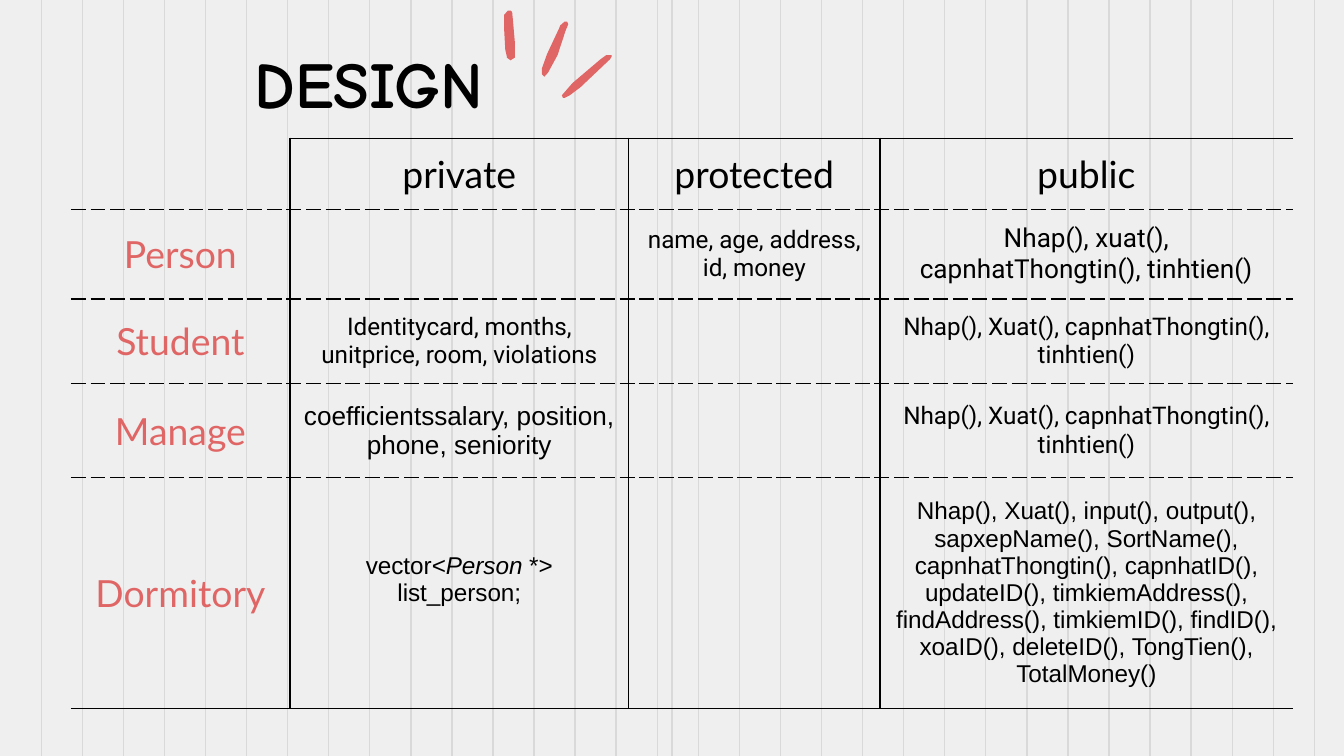
from lxml import etree
from pptx import Presentation
from pptx import util as u
from pptx.dml import color
from pptx.enum import shapes, text
from pptx.oxml import ns

theme = {
    "paper": color.RGBColor.from_string("EFEFEF"),
    "rule": color.RGBColor.from_string("D9D9D9"),
    "ink": color.RGBColor.from_string("000000"),
    "accent": color.RGBColor.from_string("E06666"),
    "title": {"name": "Comic Neue", "size": u.Pt(35), "bold": True},
    "heading": {"name": "Lato", "size": u.Pt(20)},
    "roboto": {"name": "Roboto", "size": u.Pt(13)},
    "roboto_large": {"name": "Roboto", "size": u.Pt(14)},
    "arial": {"name": "Arial", "size": u.Pt(13)},
    "arial_large": {"name": "Arial", "size": u.Pt(14)},
    "arial_italic": {"name": "Arial", "size": u.Pt(13), "italic": True},
    "line": u.Pt(0.75),
}


def write(frame, spans, ink):
    para = frame.paragraphs[0]
    para.alignment = text.PP_ALIGN.CENTER
    for words, style in spans:
        span = para.add_run()
        span.text = words
        span.font.color.rgb = theme[ink]
        for name, value in theme[style].items():
            setattr(span.font, name, value)


def add_border(cell, side, dash):
    properties = cell._tc.get_or_add_tcPr()
    line = etree.SubElement(properties, ns.qn(f"a:ln{side}"), w=str(theme["line"]))
    if dash is None:
        etree.SubElement(line, ns.qn("a:noFill"))
        return
    fill = etree.SubElement(line, ns.qn("a:solidFill"))
    etree.SubElement(fill, ns.qn("a:srgbClr"), val=str(theme["ink"]))
    etree.SubElement(line, ns.qn("a:prstDash"), val=dash)


deck = Presentation()
deck.slide_width = u.Cm(25.4)
deck.slide_height = u.Cm(14.28)
page = deck.slides.add_slide(deck.slide_layouts[6])
page.background.fill.solid()
page.background.fill.fore_color.rgb = theme["paper"]

first_rule, last_rule, rule_count = 0.78, 24.84, 32
rule_gap = (last_rule - first_rule) / (rule_count - 1)
rule_places = [first_rule + rule_gap * i for i in range(rule_count)] + [12.7]
for x in rule_places:
    rule = page.shapes.add_connector(
        shapes.MSO_CONNECTOR.STRAIGHT, u.Cm(x), 0, u.Cm(x), deck.slide_height
    )
    rule.line.color.rgb = theme["rule"]
    rule.line.width = theme["line"]
    etree.SubElement(rule._element.spPr, ns.qn("a:effectLst"))

title = page.shapes.add_textbox(u.Cm(1.04), u.Cm(0.56), u.Cm(11.86), u.Cm(1.6))
title.text_frame.word_wrap = True
for name in ("margin_left", "margin_right", "margin_top", "margin_bottom"):
    setattr(title.text_frame, name, u.Cm(0.25))
write(title.text_frame, [("DESIGN", "title")], "ink")

common = "Nhap(), Xuat(), capnhatThongtin(), tinhtien()"
rows = [
    [[], [("private", "heading")], [("protected", "heading")], [("public", "heading")]],
    [
        [("Person", "heading")],
        [],
        [("name, age, address, id, money", "roboto")],
        [("Nhap(), xuat(), capnhatThongtin(), tinhtien()", "roboto_large")],
    ],
    [
        [("Student", "heading")],
        [("Identitycard, months, unitprice, room, violations", "roboto")],
        [],
        [(common, "roboto")],
    ],
    [
        [("Manage", "heading")],
        [("coefficientssalary, position, phone, seniority", "arial_large")],
        [],
        [(common, "roboto")],
    ],
    [
        [("Dormitory", "heading")],
        [("vector<", "arial"), ("Person", "arial_italic"), (" *> list_person;", "arial")],
        [],
        [(
            "Nhap(), Xuat(), input(), output(), sapxepName(), SortName(), "
            "capnhatThongtin(), capnhatID(), updateID(), timkiemAddress(), "
            "findAddress(), timkiemID(), findID(), xoaID(), deleteID(), "
            "TongTien(), TotalMoney()",
            "arial",
        )],
    ],
]
widths = [4.14, 6.4, 4.75, 7.8]
heights = [1.35, 1.67, 1.58, 1.77, 4.1]
last_row, last_column = len(rows) - 1, len(widths) - 1

table = page.shapes.add_table(
    len(rows), len(widths), u.Cm(1.34), u.Cm(2.61), u.Cm(sum(widths)), u.Cm(sum(heights))
).table
table.first_row = False
table.horz_banding = False
for column, width in zip(table.columns, widths):
    column.width = u.Cm(width)
for row, height in zip(table.rows, heights):
    row.height = u.Cm(height)

for r, entries in enumerate(rows):
    for c, spans in enumerate(entries):
        cell = table.cell(r, c)
        for name in ("margin_left", "margin_right", "margin_top", "margin_bottom"):
            setattr(cell, name, u.Cm(0.25))
        cell.vertical_anchor = text.MSO_ANCHOR.MIDDLE if r else text.MSO_ANCHOR.BOTTOM
        write(cell.text_frame, spans, "ink" if c else "accent")
        top = "dash" if r else ("solid" if c else None)
        add_border(cell, "L", "solid" if c else None)
        add_border(cell, "R", "solid" if c < last_column else None)
        add_border(cell, "T", top)
        add_border(cell, "B", "dash" if r < last_row else "solid")
        cell.fill.background()
table.cell(4, 1).margin_bottom = u.Cm(0.75)

strokes = [
    [(10.29, 1.45), (10.36, 1.37), (10.54, 1.04), (10.69, 0.58), (10.74, 0.46),
     (10.72, 0.41), (10.67, 0.41), (10.59, 0.48), (10.57, 0.53), (10.34, 1.02),
     (10.24, 1.3), (10.24, 1.4)],
    [(9.65, 1.14), (9.73, 1.09), (9.73, 0.79), (9.7, 0.43), (9.68, 0.23),
     (9.65, 0.2), (9.6, 0.2), (9.53, 0.28), (9.53, 0.58), (9.55, 0.94),
     (9.58, 1.07), (9.58, 1.09)],
    [(10.67, 1.85), (10.77, 1.8), (10.97, 1.65), (11.53, 1.12), (11.56, 1.07),
     (11.56, 1.04), (11.51, 1.04), (11.46, 1.04), (11.35, 1.12), (10.82, 1.57),
     (10.62, 1.8), (10.64, 1.85)],
]
for points in strokes:
    corners = [(u.Cm(x), u.Cm(y)) for x, y in points]
    builder = page.shapes.build_freeform(*corners[0])
    builder.add_line_segments(corners[1:], close=True)
    stroke = builder.convert_to_shape()
    stroke.shadow.inherit = False
    stroke.fill.solid()
    stroke.fill.fore_color.rgb = theme["accent"]
    stroke.line.fill.background()

deck.save("out.pptx")
